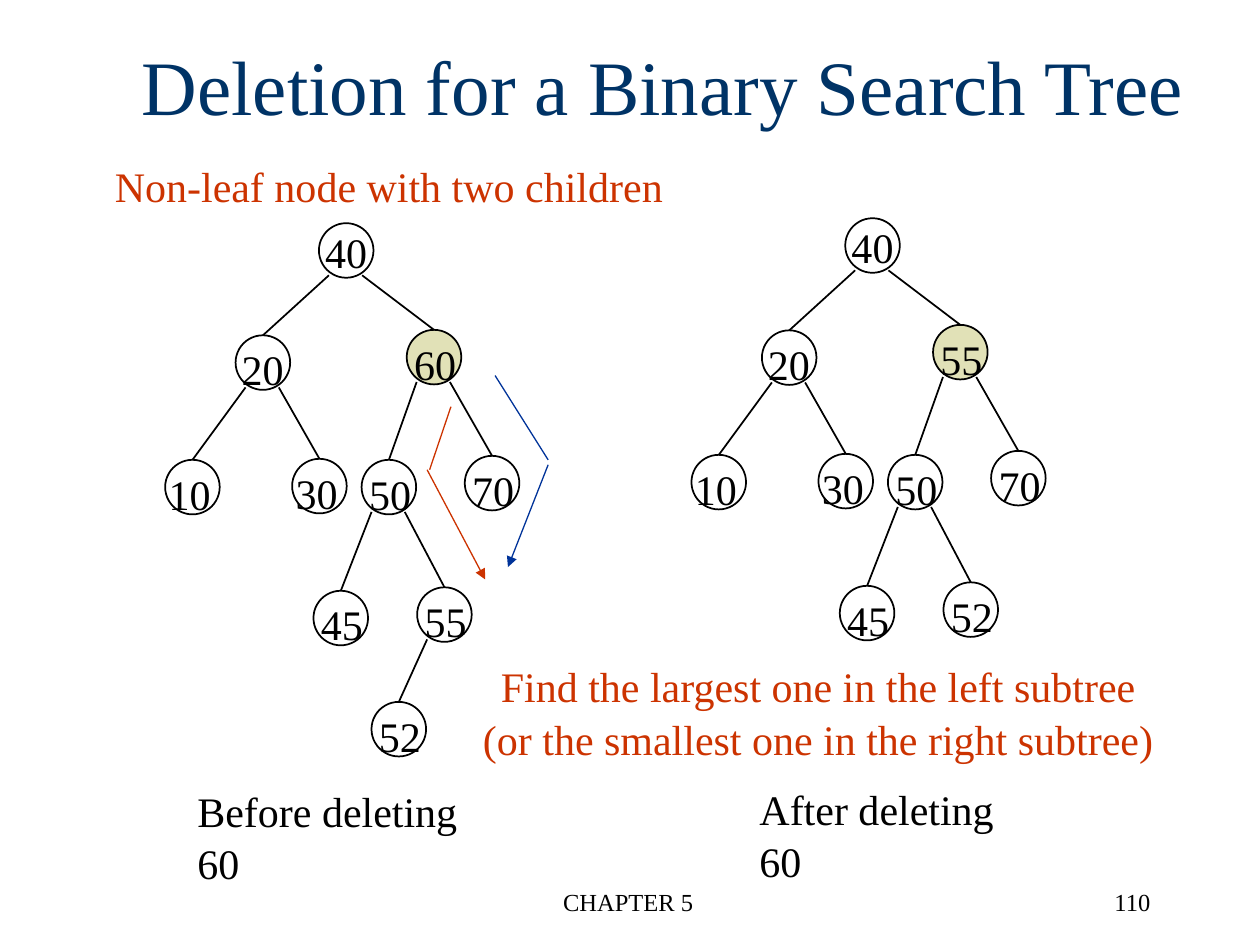
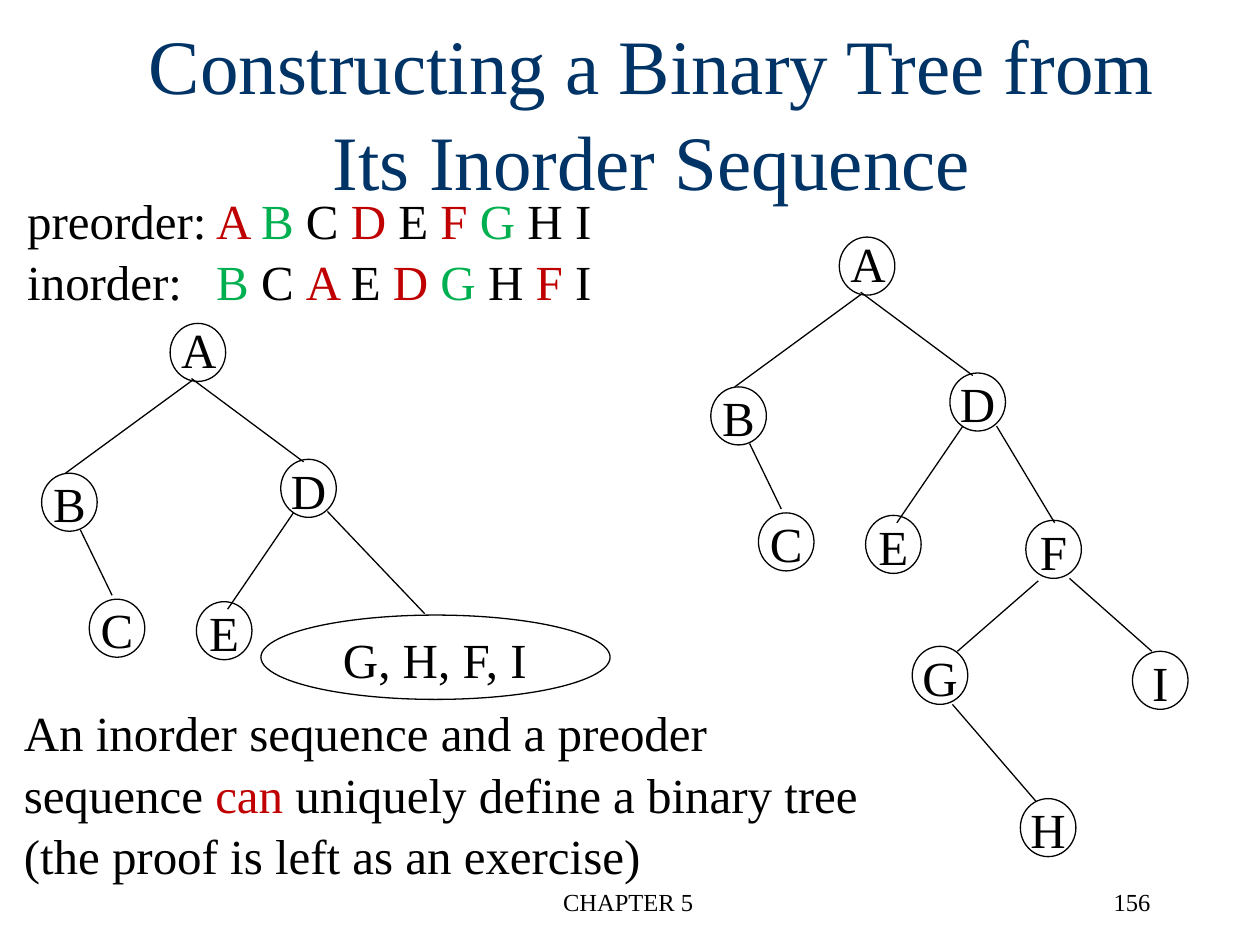
"""Build two slides on binary search tree deletion and tree construction."""
from dataclasses import dataclass

from lxml.etree import SubElement
from pptx import Presentation
from pptx.dml.color import RGBColor
from pptx.enum.shapes import MSO_CONNECTOR, MSO_SHAPE
from pptx.enum.text import MSO_ANCHOR, PP_ALIGN
from pptx.oxml.ns import qn
from pptx.util import Cm, Pt


@dataclass(frozen=True)
class Theme:
    font: str = "Times New Roman"
    black: str = "000000"
    title: str = "003366"
    accent: str = "CC3300"
    blue: str = "003399"
    olive: str = "E1E1B7"
    red: str = "C00000"
    green: str = "00B050"
    title_pt: int = 44
    large_pt: int = 28
    body_pt: int = 24
    footer_pt: int = 14
    spacing: float = 1.04
    bold_line: float = 1
    thin_line: float = 0.75


T = Theme()
LEFT, CENTER, RIGHT = PP_ALIGN.LEFT, PP_ALIGN.CENTER, PP_ALIGN.RIGHT
TOP, MIDDLE = MSO_ANCHOR.TOP, MSO_ANCHOR.MIDDLE


def put(s, paras, box, size, color=T.black, align=LEFT, anchor=TOP,
        wrap=True, outline=None, fill=None):
    """Add text in a plain box, or in an ellipse when an outline width is given."""
    box = [Cm(v) for v in box]
    if outline:
        sp = s.shapes.add_shape(MSO_SHAPE.OVAL, *box)
        sp.shadow.inherit = False
        sp.line.color.rgb = RGBColor.from_string(T.black)
        sp.line.width = Pt(outline)
        if fill:
            sp.fill.solid()
            sp.fill.fore_color.rgb = RGBColor.from_string(fill)
        else:
            sp.fill.background()
    else:
        sp = s.shapes.add_textbox(*box)
    tf = sp.text_frame
    tf.word_wrap = wrap
    tf.vertical_anchor = anchor
    for i, runs in enumerate(paras):
        p = tf.paragraphs[0] if i == 0 else tf.add_paragraph()
        p.alignment = align
        p.line_spacing = T.spacing
        p.font.name = T.font
        p.font.size = Pt(size)
        p.font.color.rgb = RGBColor.from_string(color)
        for text, tint in [(runs, color)] if isinstance(runs, str) else runs:
            r = p.add_run()
            r.text = text
            r.font.color.rgb = RGBColor.from_string(tint)


def link(s, x1, y1, x2, y2, width, color=T.black, arrow=False):
    """Add a straight line, with an arrowhead at its end on request."""
    c = s.shapes.add_connector(MSO_CONNECTOR.STRAIGHT, Cm(x1), Cm(y1), Cm(x2), Cm(y2))
    c.line.color.rgb = RGBColor.from_string(color)
    c.line.width = Pt(width)
    if arrow:
        SubElement(c.line._get_or_add_ln(), qn("a:tailEnd"), type="triangle")
    SubElement(c._element.spPr, qn("a:effectLst"))


prs = Presentation()
prs.slide_width, prs.slide_height = Cm(25.4), Cm(19.05)

pages = []
for title, number, box, anchor in (
    ("Deletion for a Binary Search Tree", "110", (0.64, 0.08, 25.45, 3.18), MIDDLE),
    ("Constructing a Binary Tree from Its Inorder Sequence", "156",
     (1.85, 0.15, 22.58, 3.18), TOP),
):
    s = prs.slides.add_slide(prs.slide_layouts[6])
    put(s, [title], box, T.title_pt, T.title, CENTER, anchor)
    put(s, ["CHAPTER 5"], (8.64, 17.73, 8.05, 1.27), T.footer_pt, align=CENTER)
    put(s, [number], (18.16, 17.73, 5.28, 1.27), T.footer_pt, align=RIGHT)
    pages.append(s)

s = pages[0]
put(s, ["Non-leaf node with two children"], (2.01, 3.07, 11.66, 1.27),
    T.body_pt, T.accent, CENTER)

# Each node: left, top, parent index, side of the parent, label shift
search_nodes = (
    (6.43, 4.5, None, None, 0),
    (4.75, 6.76, 0, "left", -0.13),
    (8.2, 6.65, 0, "right", -0.1),
    (3.33, 9.27, 1, "left", -0.18),
    (5.89, 9.25, 1, "right", -0.18),
    (7.29, 9.27, 2, "left", -0.1),
    (9.37, 9.19, 2, "right", -0.1),
    (6.32, 11.91, 5, "left", -0.1),
    (8.41, 11.84, 5, "right", -0.1),
    (7.49, 14.15, 8, "left", -0.1),
)
diameter = 1.1
exit_x = {"left": 0.2, "right": 0.87}
replaced = 2
for dx, dy, labels in (
    (0, 0, "40 20 60 10 30 50 70 45 55 52"),
    (10.61, -0.1, "40 20 55 10 30 50 70 45 52"),
):
    for i, (label, node) in enumerate(zip(labels.split(), search_nodes)):
        x, y, parent, side, shift = node
        x, y = x + dx, y + dy
        root = parent is None
        put(s, [label] if root else [], (x, y, diameter, diameter), T.body_pt,
            align=CENTER, anchor=MIDDLE, wrap=False, outline=T.bold_line,
            fill=T.olive if i == replaced else None)
        if not root:
            put(s, [label], (x + shift, y, 1.4, 1.27), T.body_pt)
            px, py = search_nodes[parent][:2]
            link(s, px + dx + exit_x[side], py + dy + 1.05, x + diameter / 2, y,
                 T.bold_line)

for points, color, arrow in (
    ((9.09, 8.2, 8.66, 9.47), T.accent, False),
    ((8.61, 9.47, 9.78, 11.68), T.accent, True),
    ((9.98, 7.57, 11.05, 9.27), T.blue, False),
    ((11.05, 9.37, 10.24, 11.43), T.blue, True),
):
    link(s, *points, T.thin_line, color, arrow)

put(s, ["Before deleting 60"], (3.73, 15.67, 6.4, 2.3), T.body_pt)
put(s, ["After deleting 60"], (15.06, 15.62, 5.9, 2.3), T.body_pt)
put(s, ["Find the largest one in the left subtree",
        "(or the smallest one in the right subtree)"],
    (9.42, 13.16, 14.15, 2.31), T.body_pt, T.accent, CENTER)

s = pages[1]
tints = {**dict.fromkeys("ADF", T.red), **dict.fromkeys("BG", T.green)}
orders = []
for name, sequence in (("preorder:", "ABCDEFGHI"), ("inorder:", "BCAEDGHFI")):
    runs = [(name + "\t", T.black)]
    for letter in sequence[:-1]:
        runs.append((letter + " ", tints.get(letter, T.black)))
    orders.append(runs + [(sequence[-1], T.black)])
put(s, orders, (0.3, 3.66, 13.5, 2.62), T.large_pt)

root = (16.92, 4.78)
ordered_nodes = (
    ("B", 14.33, 7.8), ("C", 15.29, 10.34), ("D", 19.15, 7.52), ("E", 17.45, 10.39),
    ("F", 20.68, 10.49), ("G", 18.39, 13.03), ("I", 22.83, 13.13), ("H", 20.57, 16.1),
)
edges = (
    (17.35, 5.94, 14.81, 7.8), (17.35, 5.89, 19.61, 7.57),
    (15.11, 8.94, 15.75, 10.26), (19.41, 8.59, 18.08, 10.54),
    (20.09, 8.59, 21.26, 10.54), (20.93, 11.71, 19.3, 13.13),
    (21.56, 11.66, 23.22, 13.13), (19.2, 14.2, 20.88, 16.15),
)
partial = 4
for dx, dy, count in ((0, 0, len(edges)), (-13.49, 1.74, partial)):
    x, y = root[0] + dx, root[1] + dy
    put(s, [], (x, y, 1.12, 1.17), T.large_pt, outline=T.thin_line)
    put(s, ["A"], (x - 0.03, y - 0.25, 1.22, 1.45), T.large_pt, align=CENTER, wrap=False)
    for label, x, y in ordered_nodes[:count]:
        put(s, [label], (x + dx, y + dy, 1.12, 1.17), T.large_pt, align=CENTER,
            anchor=MIDDLE, wrap=False, outline=T.thin_line)
    for x1, y1, x2, y2 in edges[:count]:
        link(s, x1 + dx, y1 + dy, x2 + dx, y2 + dy, T.thin_line)

link(s, 6.6, 10.31, 8.56, 12.37, T.thin_line)
put(s, [], (5.26, 12.4, 7.04, 1.7), T.large_pt, outline=T.thin_line)
put(s, ["G, H, F, I"], (6.63, 12.52, 4.27, 1.45), T.large_pt, align=CENTER)
put(s, [[("An inorder sequence and a preoder sequence ", T.black), ("can", T.red),
         (" uniquely define a binary tree (the proof is left as an exercise)", T.black)]],
    (0.23, 14, 17.78, 3.84), T.large_pt)

prs.save("out.pptx")
